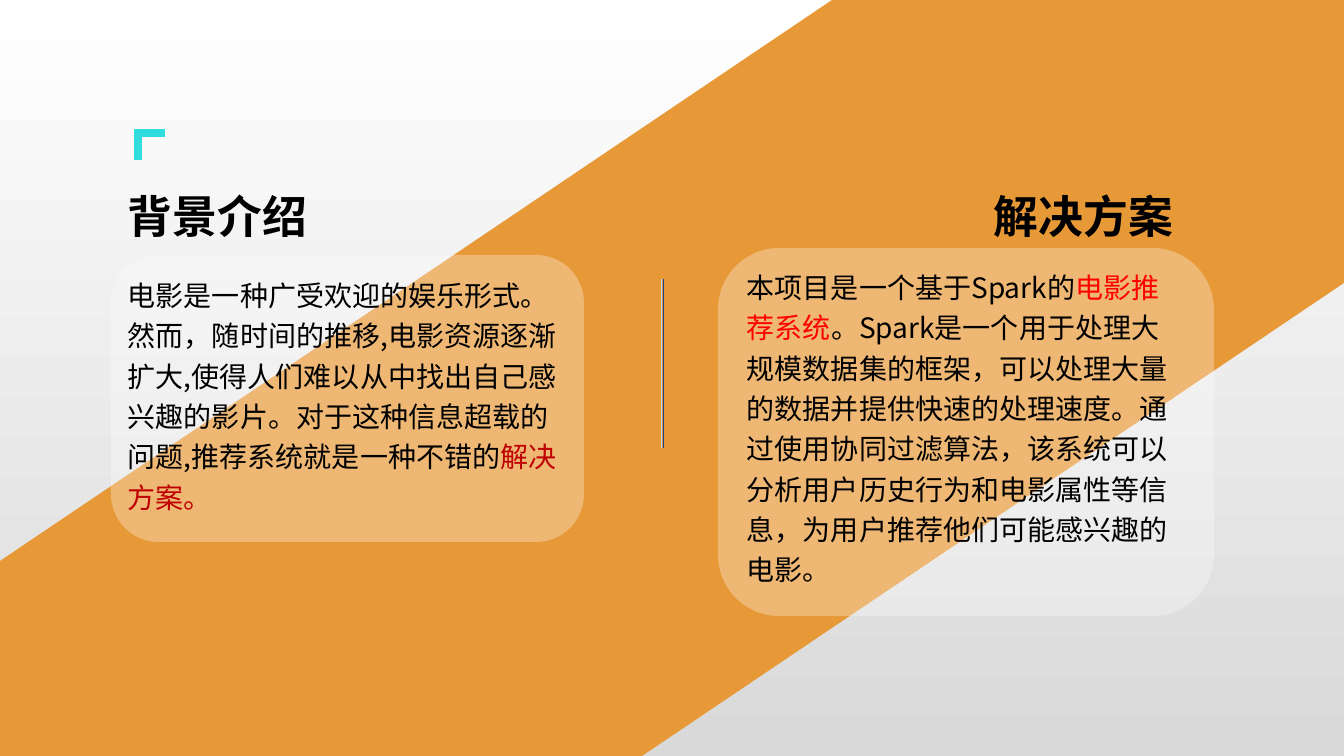
import pptx
import pptx.util
import pptx.dml.color
import pptx.enum.shapes
import pptx.enum.text
import pptx.oxml
import pptx.oxml.ns
from lxml import etree

RGBColor = pptx.dml.color.RGBColor
WHITE = RGBColor(0xFF, 0xFF, 0xFF)
GREY = RGBColor(0xD9, 0xD9, 0xD9)
ORANGE = RGBColor(0xE7, 0x99, 0x37)
BLACK = RGBColor(0, 0, 0)
DARK_RED = RGBColor(0xC0, 0, 0)
RED = RGBColor(0xFF, 0, 0)
NAVY = RGBColor(0x16, 0x46, 0x8D)
TURQUOISE = RGBColor(0x31, 0xDC, 0xDC)
PX = 914400 / 100.8
BODY_FONT = "Noto Sans CJK SC"
qn = pptx.oxml.ns.qn


def px(*lengths):
    return [pptx.util.Emu(round(length * PX)) for length in lengths]


def add_text(box, runs, size, font_name, bold, line_spacing, anchor):
    shape = slide.shapes.add_textbox(*px(*box))
    frame = shape.text_frame
    frame.word_wrap = True
    frame.vertical_anchor = anchor
    paragraph = frame.paragraphs[0]
    paragraph.line_spacing = line_spacing
    for text, color in runs:
        run = paragraph.add_run()
        run.text = text
        run.font.size = pptx.util.Pt(size)
        run.font.bold = bold
        run.font.color.rgb = color
        run.font.name = font_name
        east_asian = etree.SubElement(run.font._element, qn("a:ea"))
        east_asian.set("typeface", BODY_FONT)


presentation = pptx.Presentation()
presentation.slide_width, presentation.slide_height = px(1344, 756)
slide = presentation.slides.add_slide(presentation.slide_layouts[6])

background = slide.background.fill
background.gradient()
background.gradient_angle = 270
for stop, color in zip(background.gradient_stops, (WHITE, GREY)):
    stop.color.rgb = color

builder = slide.shapes.build_freeform(832, 0, scale=PX)
builder.add_line_segments([(1344, 0), (1344, 283), (642, 756), (0, 756), (0, 561)])
band = builder.convert_to_shape()
band.shadow.inherit = False
band.fill.solid()
band.fill.fore_color.rgb = ORANGE
band.line.fill.background()

for box in ((718, 248, 496, 368), (111, 255, 473, 287)):
    panel = slide.shapes.add_shape(
        pptx.enum.shapes.MSO_SHAPE.ROUNDED_RECTANGLE, *px(*box))
    panel.shadow.inherit = False
    panel.fill.solid()
    panel.fill.fore_color.rgb = WHITE
    panel.line.fill.background()
    color_element = panel._element.spPr.find(qn("a:solidFill"))[0]
    etree.SubElement(color_element, qn("a:alpha")).set("val", "30000")

background_runs = [
    ("电影是一种广受欢迎的娱乐形式。然而，随时间的推移,电影资源逐渐扩大,"
     "使得人们难以从中找出自己感兴趣的影片。对于这种信息超载的问题,"
     "推荐系统就是一种不错的", BLACK),
    ("解决方案。", DARK_RED),
]
solution_runs = [
    ("本项目是一个基于Spark的", BLACK),
    ("电影推荐系统", RED),
    ("。Spark是一个用于处理大规模数据集的框架，可以处理大量的数据并提供快速的处理速度。"
     "通过使用协同过滤算法，该系统可以分析用户历史行为和电影属性等信息，"
     "为用户推荐他们可能感兴趣的电影。", BLACK),
]
for box, runs in (((118, 267, 459, 254), background_runs),
                  ((737, 259, 459, 336), solution_runs)):
    add_text(box, runs, 20, BODY_FONT, False, 1.2, pptx.enum.text.MSO_ANCHOR.TOP)

for box, heading in (((118, 183, 361, 65), "背景介绍"),
                     ((984, 183, 201, 65), "解决方案")):
    add_text(box, [(heading, BLACK)], 32, "Arial", True, 1.0,
             pptx.enum.text.MSO_ANCHOR.MIDDLE)

divider = slide.shapes.add_connector(
    pptx.enum.shapes.MSO_CONNECTOR.STRAIGHT, *px(663, 448, 663, 279))
divider.line.color.rgb = NAVY
divider.line.width = pptx.util.Pt(0.5)
effects = etree.SubElement(divider._element.spPr, qn("a:effectLst"))
shadow = etree.SubElement(effects, qn("a:outerShdw"), dist="12700", dir="10800000")
etree.SubElement(shadow, qn("a:srgbClr"), val="BFD5F5")

builder = slide.shapes.build_freeform(138, 160, scale=PX)
builder.add_line_segments([(138, 133), (165, 133)], close=False)
corner = builder.convert_to_shape()
corner.shadow.inherit = False
corner.fill.background()
corner.line.color.rgb = TURQUOISE
corner.line.width = pptx.util.Pt(6.13)
etree.SubElement(corner.line._ln, qn("a:miter"), lim="800000")

presentation.save("out.pptx")
